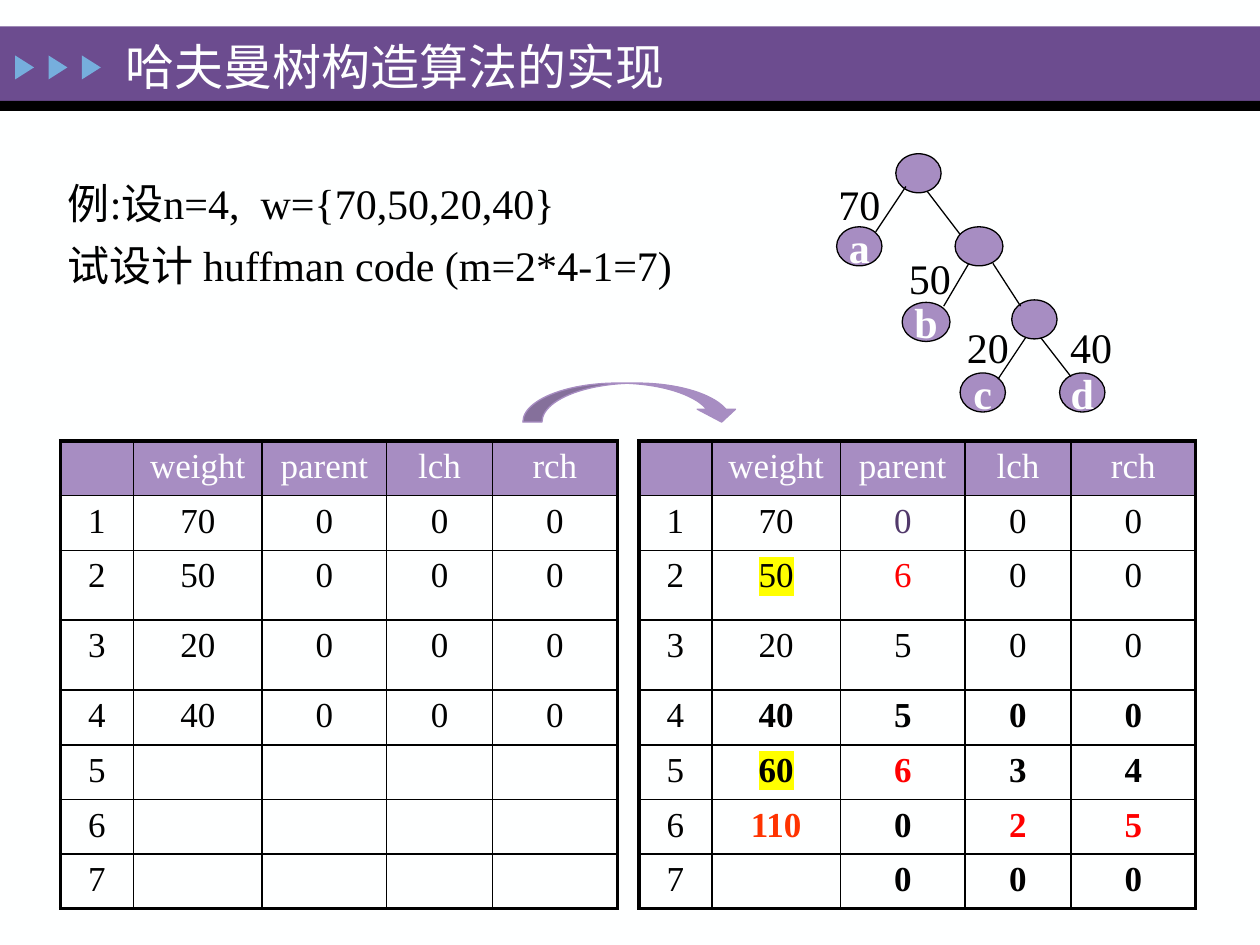
from lxml.etree import SubElement
from pptx import Presentation
from pptx.dml.color import RGBColor
from pptx.enum.shapes import MSO_CONNECTOR, MSO_SHAPE
from pptx.enum.text import MSO_ANCHOR, MSO_AUTO_SIZE, PP_ALIGN
from pptx.oxml.ns import qn
from pptx.util import Inches, Pt

COLORS = {
    "white": "FEFFFF", "black": "000000", "banner": "6C4C8F", "sky": "76AEDD",
    "lilac": "A78DC2", "plum": "51396B", "red": "FF0000", "orange": "FF3300",
    "yellow": "FFFF00",
}
FONT = "Times New Roman"
COLUMNS, ROWS = 100, 75  # the slide grid, in which all lengths are given


def rgb(name):
    return RGBColor.from_string(COLORS[name])


class SlideBuilder:
    """Holds the style and the current slide; draws on the slide grid."""

    def __init__(self, deck):
        self.page = deck.slides.add_slide(deck.slide_layouts[6])
        self.cell_width = deck.slide_width / COLUMNS
        self.cell_height = deck.slide_height / ROWS
        background = self.page.background.fill
        background.solid()
        background.fore_color.rgb = rgb("white")

    def x(self, columns):
        return round(columns * self.cell_width)

    def y(self, rows):
        return round(rows * self.cell_height)

    def place(self, left, top, width, height):
        return self.x(left), self.y(top), self.x(width), self.y(height)

    def style(self, para, size, color, bold=False, align=None):
        para.font.name, para.font.size = FONT, Pt(size)
        para.font.bold, para.font.color.rgb = bold, rgb(color)
        para.alignment = align

    def shape(self, kind, area, fill=None, line=None):
        box = self.page.shapes.add_shape(kind, *self.place(*area))
        box.shadow.inherit = False
        if fill:
            box.fill.solid()
            box.fill.fore_color.rgb = rgb(fill)
        else:
            box.fill.background()
        if line:
            box.line.color.rgb = rgb(line)
            box.line.width = Pt(0.75)
        else:
            box.line.fill.background()
        return box

    def text(self, words, area, size, color, align=None, wrap=True):
        box = self.page.shapes.add_textbox(*self.place(*area))
        frame = box.text_frame
        frame.word_wrap = wrap
        frame.vertical_anchor = MSO_ANCHOR.MIDDLE
        frame.text = words
        self.style(frame.paragraphs[0], size, color, align=align)

    def paragraphs(self, lines, area):
        box = self.shape(MSO_SHAPE.ROUNDED_RECTANGLE, area)
        box.adjustments[0] = 0.13
        frame = box.text_frame
        frame.word_wrap = True
        frame.auto_size = MSO_AUTO_SIZE.SHAPE_TO_FIT_TEXT
        frame.vertical_anchor = MSO_ANCHOR.TOP
        frame.text = "\n".join(lines)
        for para in frame.paragraphs:
            self.style(para, 24, "black", align=PP_ALIGN.LEFT)
            para.line_spacing = 0.8
            para.space_before = Pt(12)

    def node(self, left, top, width, label=""):
        oval = self.shape(MSO_SHAPE.OVAL, (left, top, width, 3.1), "lilac", "black")
        if label:
            frame = oval.text_frame
            frame.word_wrap = False
            frame.vertical_anchor = MSO_ANCHOR.MIDDLE
            frame.text = label
            self.style(frame.paragraphs[0], 24, "white", True, PP_ALIGN.CENTER)

    def edge(self, start_x, start_y, end_x, end_y):
        line = self.page.shapes.add_connector(
            MSO_CONNECTOR.STRAIGHT, self.x(start_x), self.y(start_y),
            self.x(end_x), self.y(end_y))
        line.line.color.rgb = rgb("black")
        line.line.width = Pt(0.75)
        SubElement(line._element.spPr, qn("a:effectLst"))

    def borders(self, cell, thick_sides):
        properties = cell._tc.get_or_add_tcPr()
        for side in "LRTB":
            width = Pt(2.25 if side in thick_sides else 1)
            line = SubElement(properties, qn(f"a:ln{side}"), w=str(width))
            fill = SubElement(line, qn("a:solidFill"))
            SubElement(fill, qn("a:srgbClr"), val=COLORS["black"])

    def table(self, left, top, widths, heights, rows, colors, bold, marked):
        """colors, bold and marked are keyed by (row, column)."""
        last_row, last_column = len(heights) - 1, len(widths) - 1
        table = self.page.shapes.add_table(
            len(heights), len(widths),
            *self.place(left, top, sum(widths), sum(heights))).table
        table.first_row = table.horz_banding = False
        for column, width in zip(table.columns, widths):
            column.width = self.x(width)
        for row, height in zip(table.rows, heights):
            row.height = self.y(height)
        for r, words in enumerate(rows):
            for c, word in enumerate(words):
                cell = table.cell(r, c)
                outer = {"L": c == 0, "R": c == last_column,
                         "T": r == 0, "B": r == last_row}
                self.borders(cell, [side for side in outer if outer[side]])
                cell.fill.solid()
                cell.fill.fore_color.rgb = rgb("white" if r else "lilac")
                para = cell.text_frame.paragraphs[0]
                color = colors.get((r, c), "black" if r else "white")
                self.style(para, 20, color, (r, c) in bold, PP_ALIGN.CENTER)
                if word:
                    span = para.add_run()
                    span.text = word
                    if (r, c) in marked:
                        mark = SubElement(span._r.get_or_add_rPr(), qn("a:highlight"))
                        SubElement(mark, qn("a:srgbClr"), val=COLORS["yellow"])


def main():
    deck = Presentation()
    deck.slide_width, deck.slide_height = Inches(10), Inches(7.5)
    slide = SlideBuilder(deck)

    # Title banner
    slide.shape(MSO_SHAPE.RECTANGLE, (0, 2.1, 100, 5.9), "banner")
    slide.shape(MSO_SHAPE.RECTANGLE, (0, 8, 100, 0.8), "black")
    for i in range(3):
        marker = slide.shape(MSO_SHAPE.ISOSCELES_TRIANGLE,
                             (1 + 2.65 * i, 4.6, 1.9, 1.5), "sky")
        marker.rotation = 90
    slide.text("哈夫曼树构造算法的实现", (9, 2.4, 72, 5.6), 28, "white")

    # Problem statement
    slide.paragraphs(["例:设n=4,  w={70,50,20,40}",
                      "试设计 huffman code (m=2*4-1=7)"], (4, 14, 51.4, 10.5))

    # Tables before and after the merging
    widths = [5.8, 10.2, 9.9, 8.4, 9.9]
    heights = [4.34, 4.34, 5.55, 5.55, 4.34, 4.34, 4.34, 4.34]
    header = ["", "weight", "parent", "lch", "rch"]
    weights = ["70", "50", "20", "40"]
    before = [[w, "0", "0", "0"] for w in weights] + [[""] * 4] * 3
    after = [["70", "0", "0", "0"], ["50", "6", "0", "0"], ["20", "5", "0", "0"],
             ["40", "5", "0", "0"], ["60", "6", "3", "4"], ["110", "0", "2", "5"],
             ["", "0", "0", "0"]]
    colors = {(1, 2): "plum", (2, 2): "red", (5, 2): "red",
              (6, 1): "orange", (6, 3): "red", (6, 4): "red"}
    bold = {(r, c) for r in range(4, 8) for c in range(1, 5)}
    for left, body, styles in ((4.8, before, ({}, (), ())),
                               (50.7, after, (colors, bold, {(2, 1), (5, 1)}))):
        rows = [header] + [[str(i), *cells] for i, cells in enumerate(body, 1)]
        slide.table(left, 35, widths, heights, rows, *styles)

    # Huffman tree: leaves with their weights, inner nodes, edges
    leaves = [("a", 66.4, 18, 3.6), ("b", 71.6, 24, 3.8),
              ("c", 76.2, 29.6, 3.6), ("d", 84.1, 29.6, 3.6)]
    weight_places = [(65.5, 13.6), (71.1, 19.5), (75.7, 25), (83.9, 25)]
    for (label, left, top, width), weight, (x, y) in zip(leaves, weights, weight_places):
        slide.node(left, top, width, label)
        slide.text(weight, (x, y, 5.4, 5.1), 24, "black", PP_ALIGN.CENTER, wrap=False)
    for left, top, width in ((71.1, 12.2, 3.6), (75.8, 18, 3.8), (80.3, 23.8, 3.6)):
        slide.node(left, top, width)
    for ends in ((71.9, 14.8, 69.5, 18.4), (73.6, 15.2, 76.2, 18.6),
                 (76.9, 20.9, 74.9, 24.3), (78.8, 20.9, 81, 24.3),
                 (81.4, 26.8, 79.2, 30.1), (82.6, 26.8, 85, 29.9)):
        slide.edge(*ends)

    # Arrow from the first table to the second
    arrow = slide.shape(MSO_SHAPE.CURVED_DOWN_ARROW, (41.5, 30.4, 17.3, 3.1),
                        "lilac", "lilac")
    for i, value in enumerate((0.49, 0.98, 0.33)):
        arrow.adjustments[i] = value

    deck.save("out.pptx")


if __name__ == "__main__":
    main()
